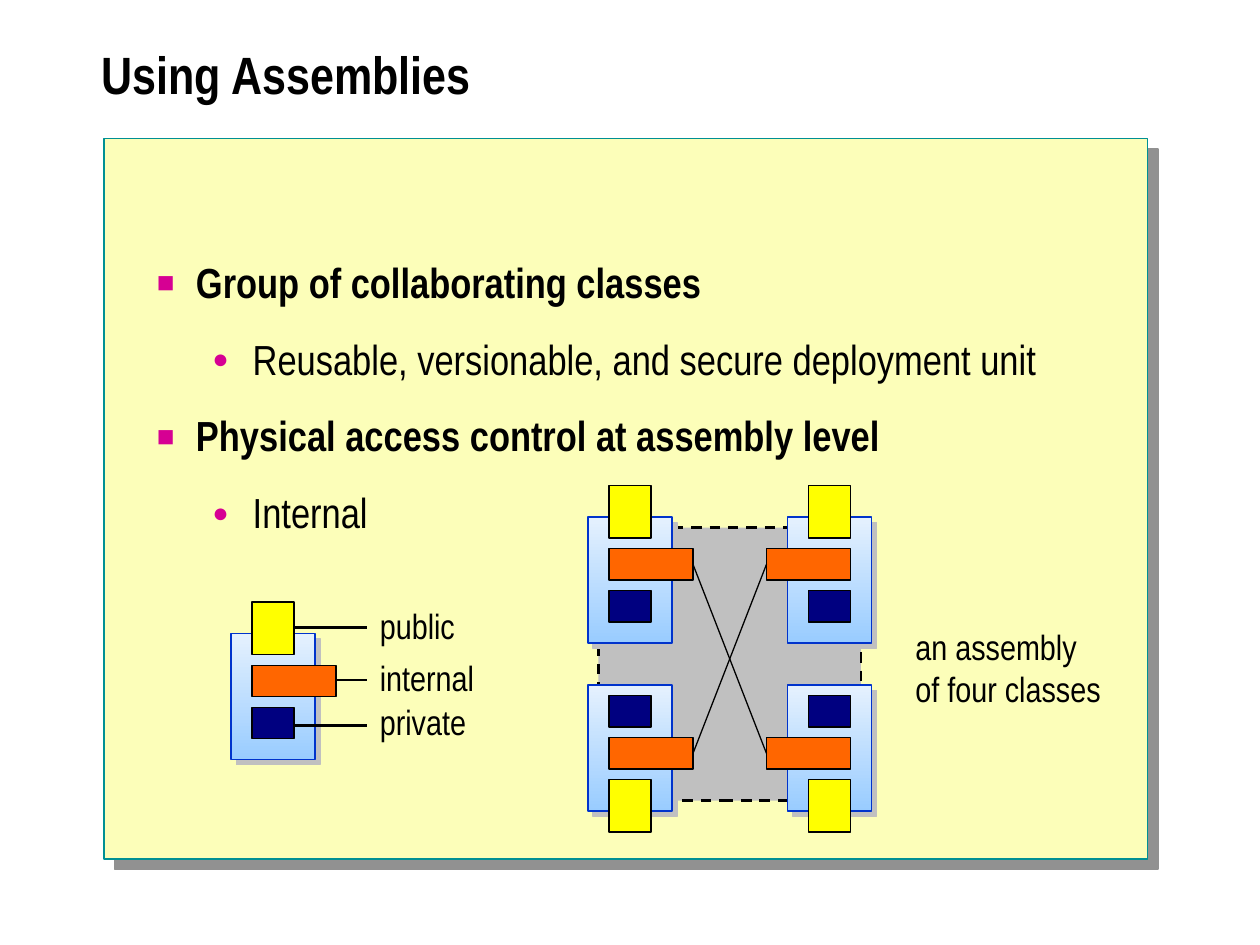
"""Build the "Using Assemblies" slide on a grid of 120 columns and 90 rows."""
from lxml.etree import SubElement
from pptx import Presentation
from pptx.dml.color import RGBColor
from pptx.enum.dml import MSO_LINE_DASH_STYLE as DASH
from pptx.enum.shapes import MSO_CONNECTOR as CONNECTOR, MSO_SHAPE as SHAPE
from pptx.enum.text import MSO_ANCHOR as ANCHOR, MSO_AUTO_SIZE as FIT, PP_ALIGN as ALIGN
from pptx.oxml.ns import qn
from pptx.util import Inches, Pt

CELL = Inches(1) / 12
BLACK, PINK, YELLOW, ORANGE, NAVY = "000000", "D60093", "FFFF00", "FF6600", "000080"


def paint(fill, *colours):
    """Fill with one hex colour, or with a vertical gradient of two."""
    if len(colours) == 1:
        fill.solid()
        fill.fore_color.rgb = RGBColor.from_string(colours[0])
        return
    fill.gradient()
    fill.gradient_angle = 270
    for stop, colour in zip(fill.gradient_stops, colours):
        stop.color.rgb = RGBColor.from_string(colour)


def write(frame, text, size=20, bold=False, level=0, spacing=1, before=0, bullet=None):
    """Append a formatted paragraph; bullet is (character, percent, margin, indent)."""
    para = frame.add_paragraph() if frame.text else frame.paragraphs[0]
    para.level, para.alignment = level, ALIGN.LEFT
    para.line_spacing, para.space_before = spacing, Pt(before)
    span = para.add_run()
    span.text = text
    span.font.name, span.font.size, span.font.bold = "Arial Narrow", Pt(size), bold
    paint(span.font.fill, BLACK)
    if bullet:
        character, percent, margin, indent = bullet
        props = para._p.get_or_add_pPr()
        props.set("marL", str(Inches(margin)))
        props.set("indent", str(Inches(indent)))
        SubElement(SubElement(props, qn("a:buClr")), qn("a:srgbClr"), val=PINK)
        SubElement(props, qn("a:buSzPct"), val=str(percent * 1000))
        SubElement(props, qn("a:buChar"), char=character)


deck = Presentation()
deck.slide_width, deck.slide_height = Inches(10), Inches(7.5)
page = deck.slides.add_slide(deck.slide_layouts[1])
title, body = page.placeholders

blocks = [
    (9.9, 13.2, 99.4, 68.6, ["FCFEB9"], "009094", 1, ("919191", 8.5)),
    (57, 50.25, 25, 26, ["C0C0C0"], BLACK, 1.5, None),
]
classes = [
    (56, 49.25, False, False), (75, 49.25, True, False),
    (56, 65.25, False, True), (75, 65.25, True, True),
    (22, 60.35, False, False),
]
members = [(-3, 4, 5, YELLOW), (3, 8, 3, ORANGE), (7, 4, 3, NAVY)]
for left, top, mirrored, flipped in classes:
    blocks.append((left, top, 8, 12, ["E5F1FE", "99CCFF"], "0033CC", 0.75, ("C0C0C0", 4.2)))
    for offset, width, height, colour in members:
        column = left + (6 - width if mirrored else 2)
        row = top + (11 - offset - height if flipped else offset)
        blocks.append((column, row, width, height, [colour], BLACK, 0.75, None))

shapes = []
for *place, colours, edge, weight, shadow in blocks:
    box = page.shapes.add_shape(SHAPE.RECTANGLE, *(round(n * CELL) for n in place))
    paint(box.fill, *colours)
    paint(box.line.fill, edge)
    box.line.width = Pt(weight)
    box.shadow.inherit = False
    if shadow:
        colour, distance = shadow
        effects = box._element.spPr.find(qn("a:effectLst"))
        cast = SubElement(effects, qn("a:outerShdw"), blurRad="0", dist=str(Pt(distance)),
                          dir="2700000", algn="ctr", rotWithShape="0")
        SubElement(cast, qn("a:srgbClr"), val=colour)
    shapes.append(box)
panel, assembly = shapes[:2]
assembly.line.dash_style = DASH.DASH
page.shapes._spTree.insert(2, panel._element)

lines = [
    (66, 53.75, 73, 71.75, 0.75), (66, 71.75, 73, 53.75, 0.75),
    (28, 59.75, 35, 59.75, 1.5), (32, 64.75, 35, 64.75, 1.5), (28, 69.1, 35, 69.1, 1.5),
]
for *ends, weight in lines:
    line = page.shapes.add_connector(CONNECTOR.STRAIGHT, *(round(n * CELL) for n in ends))
    paint(line.line.fill, BLACK)
    line.line.width = Pt(weight)
    SubElement(line._element.spPr, qn("a:effectLst"))

for holder, place in ((title, (8.5, 2.05, 107.5, 11)), (body, (13.75, 24.35, 94.4, 56.3))):
    holder.left, holder.top, holder.width, holder.height = (round(n * CELL) for n in place)
    holder.text_frame.auto_size = FIT.NONE
title.text_frame.vertical_anchor = ANCHOR.MIDDLE
write(title.text_frame, "Using Assemblies", size=30, bold=True, spacing=0.8)

bullets = [("■", 70, 0.31, -0.31), ("●", 65, 0.76, -0.32)]
for level, text in (
    (0, "Group of collaborating classes"),
    (1, "Reusable, versionable, and secure deployment unit"),
    (0, "Physical access control at assembly level"),
    (1, "Internal"),
):
    write(body.text_frame, text, size=24, bold=level == 0, level=level,
          spacing=0.9, before=18, bullet=bullets[level])

for *place, texts in (
    (86, 59, 21, 9.3, ["an assembly", "of four classes"]),
    (35, 57, 12, 5.3, ["public"]),
    (35, 61.9, 12, 5.3, ["internal"]),
    (35, 66.15, 12, 5.3, ["private"]),
):
    label = page.shapes.add_textbox(*(round(n * CELL) for n in place))
    label.text_frame.word_wrap = True
    label.text_frame.auto_size = FIT.NONE
    for text in texts:
        write(label.text_frame, text)

deck.save("out.pptx")
